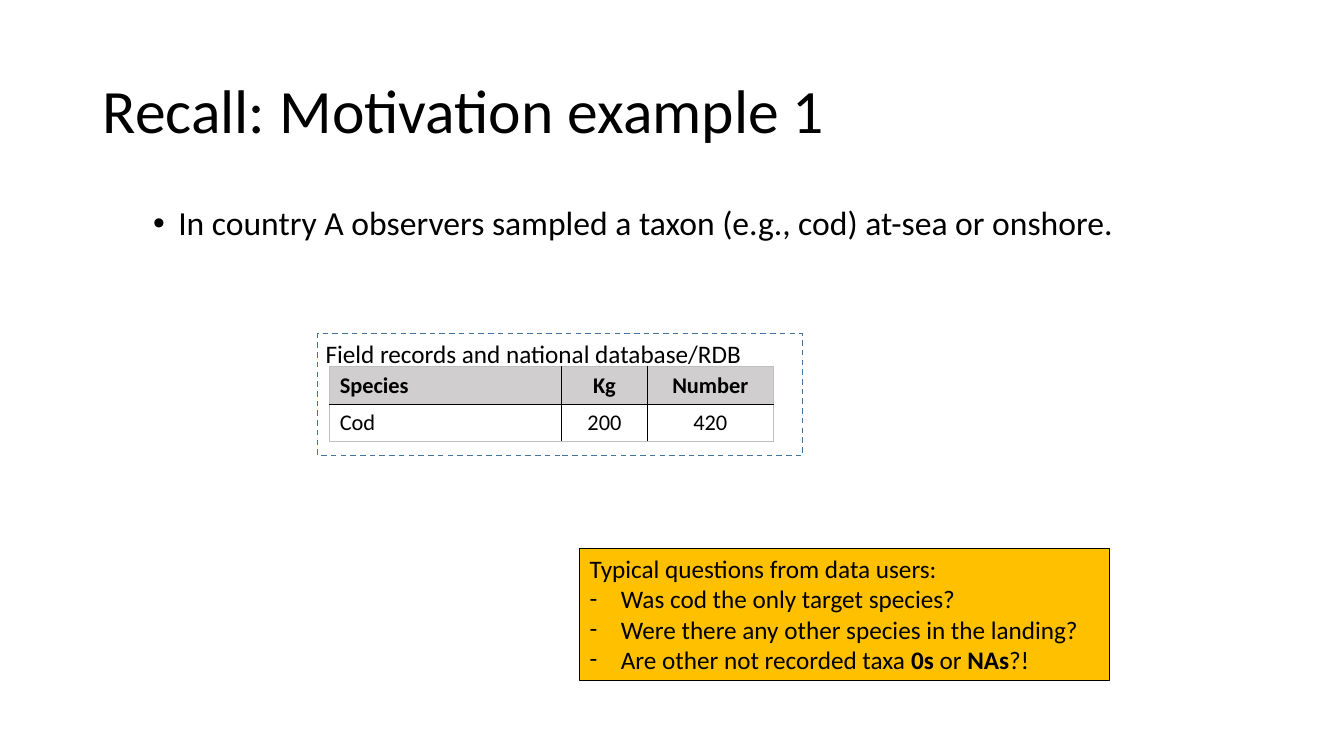
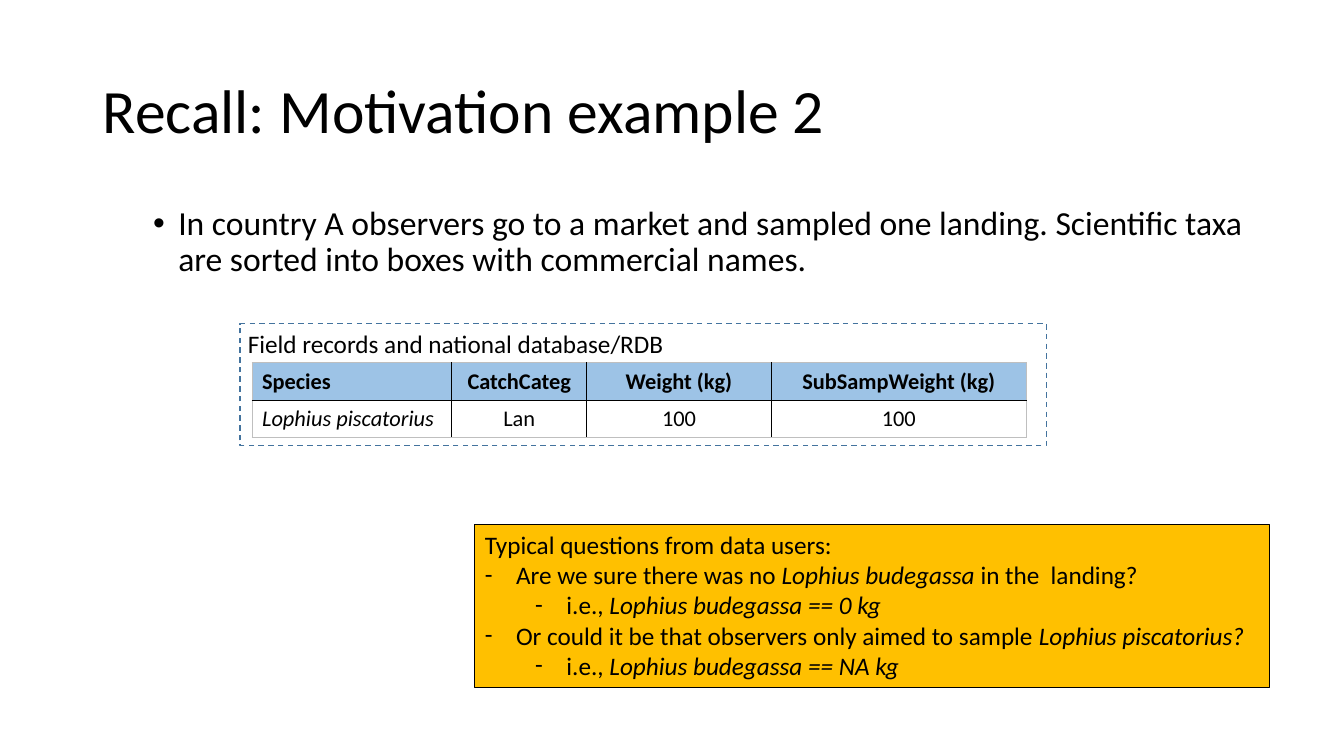
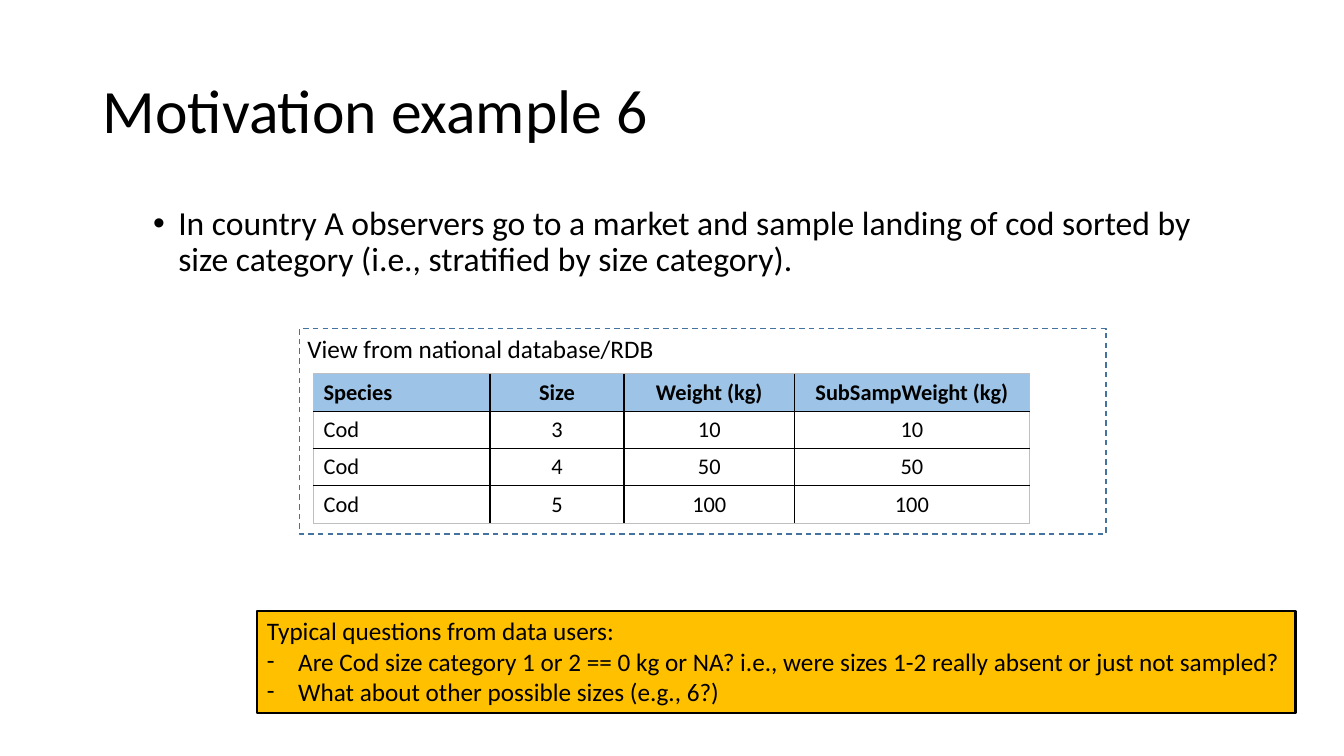
"""Build three slides on motivation examples for species sampling."""
import lxml.etree
import pptx
import pptx.util
import pptx.dml.color
import pptx.enum.dml
import pptx.enum.shapes
import pptx.enum.text
import pptx.oxml.ns

Inches = pptx.util.Inches
Pt = pptx.util.Pt
RGBColor = pptx.dml.color.RGBColor
Align = pptx.enum.text.PP_ALIGN
Anchor = pptx.enum.text.MSO_ANCHOR
RECT = pptx.enum.shapes.MSO_SHAPE.RECTANGLE
qn = pptx.oxml.ns.qn

FONT = "Calibri"
BLACK = RGBColor(0x00, 0x00, 0x00)
GREY = RGBColor(0xD0, 0xCE, 0xCE)
EDGE = RGBColor(0xBF, 0xBF, 0xBF)
SKY = RGBColor(0x9D, 0xC3, 0xE6)
GOLD = RGBColor(0xFF, 0xC0, 0x00)
BLUE = RGBColor(0x43, 0x73, 0x9E)
ROW = 0.37
FIELD = "Field records and national database/RDB"
ASK = "Typical questions from data users:"


def write(para, text, size, bold=False, mark="italic"):
    """Fill a paragraph, giving parts between asterisks the marked style."""
    for i, part in enumerate(text.split("*")):
        if part:
            run = para.add_run()
            run.text = part
            font = run.font
            font.name, font.size, font.bold = FONT, Pt(size), bold
            font.color.rgb = BLACK
            if i % 2:
                setattr(font, mark, True)


def bullet(para, char, left, hang):
    """Give a paragraph a bullet with a hanging indent."""
    props = para._p.get_or_add_pPr()
    props.set("marL", str(Inches(left)))
    props.set("indent", str(-Inches(hang)))
    font = lxml.etree.SubElement(props, qn("a:buFont"))
    font.set("typeface", "Arial" if char == "•" else FONT)
    lxml.etree.SubElement(props, qn("a:buChar")).set("char", char)


def add_text(slide, box, text, size, anchor=Anchor.TOP):
    """Add a text box and return its paragraph."""
    frame = slide.shapes.add_textbox(*map(Inches, box)).text_frame
    frame.word_wrap = True
    frame.vertical_anchor = anchor
    para = frame.paragraphs[0]
    write(para, text, size)
    return para


def add_rect(slide, box, color, width):
    """Add an outlined rectangle without fill."""
    rect = slide.shapes.add_shape(RECT, *map(Inches, box))
    rect.shadow.inherit = False
    rect.fill.background()
    rect.line.color.rgb = color
    rect.line.width = Pt(width)
    return rect


def add_border(cell, side, color, width):
    """Draw one border of a table cell."""
    line = lxml.etree.SubElement(cell._tc.get_or_add_tcPr(), qn("a:ln" + side))
    line.set("w", str(Pt(width)))
    fill = lxml.etree.SubElement(line, qn("a:solidFill"))
    lxml.etree.SubElement(fill, qn("a:srgbClr")).set("val", str(color))


def add_grid(slide, left, top, cols, rows, head):
    """Add a table with a filled header row."""
    high, wide = len(rows), len(cols)
    size = (left, top, sum(cols), ROW * high)
    table = slide.shapes.add_table(high, wide, *map(Inches, size)).table
    table.first_row = table.horz_banding = False
    for col, width in zip(table.columns, cols):
        col.width = Inches(width)
    for r, row in enumerate(rows):
        for c, text in enumerate(row):
            cell = table.cell(r, c)
            outer = {"L": c == 0, "R": c == wide - 1,
                     "T": r == 0, "B": r == high - 1}
            for side, edge in outer.items():
                add_border(cell, side, EDGE if edge else BLACK, 0.75 if edge else 1)
            if r == 0:
                cell.fill.solid()
                cell.fill.fore_color.rgb = head
            else:
                cell.fill.background()
            para = cell.text_frame.paragraphs[0]
            para.alignment = Align.CENTER if c else Align.LEFT
            write(para, text, 16, bold=r == 0)


def add_asks(slide, box, asks, width=0.75, mark="italic"):
    """Add the gold box of questions, each given as level and text."""
    rect = add_rect(slide, box, BLACK, width)
    rect.fill.solid()
    rect.fill.fore_color.rgb = GOLD
    frame = rect.text_frame
    frame.word_wrap = True
    frame.vertical_anchor = Anchor.TOP
    write(frame.paragraphs[0], ASK, 18)
    for level, text in asks:
        para = frame.add_paragraph()
        para.level = level
        bullet(para, "-", 0.31 + 0.5 * level, 0.31)
        write(para, text, 18, mark=mark)
    for para in frame.paragraphs:
        para.alignment = Align.LEFT


def add_frame(slide, box, label):
    """Add the dashed frame with its label."""
    left, top, width, _ = box
    add_text(slide, (left - 0.02, top, width, 0.4), label, 18)
    rect = add_rect(slide, box, BLUE, 1)
    rect.line.dash_style = pptx.enum.dml.MSO_LINE.DASH


def add_slide(deck, title, point):
    """Add a blank slide with its title and main point."""
    slide = deck.slides.add_slide(deck.slide_layouts[6])
    head = add_text(slide, (0.92, 0.4, 11.5, 1.45), title, 44, Anchor.MIDDLE)
    head.line_spacing = 0.9
    para = add_text(slide, (0.92, 2, 11.5, 4.76), point, 24)
    para.level = 1
    para.line_spacing = 0.9
    para.space_before = Pt(5)
    bullet(para, "•", 0.75, 0.25)
    return slide


def main():
    """Build and save the deck."""
    deck = pptx.Presentation()
    deck.slide_width, deck.slide_height = Inches(13.33), Inches(7.5)

    slide = add_slide(
        deck, "Recall: Motivation example 1",
        "In country A observers sampled a taxon (e.g., cod) at-sea or onshore.")
    add_grid(slide, 3.27, 3.64, (2.3, 0.85, 1.25),
             [("Species", "Kg", "Number"), ("Cod", "200", "420")], GREY)
    add_asks(slide, (5.75, 5.44, 5.25, 1.31), [
        (0, "Was cod the only target species?"),
        (0, "Were there any other species in the landing?"),
        (0, "Are other not recorded taxa *0s* or *NAs*?!")], mark="bold")
    add_frame(slide, (3.15, 3.31, 4.81, 1.21), FIELD)

    slide = add_slide(
        deck, "Recall: Motivation example 2",
        "In country A observers go to a market and sampled one landing. "
        "Scientific taxa are sorted into boxes with commercial names.")
    add_grid(slide, 2.5, 3.6, (1.98, 1.34, 1.83, 2.53), [
        ("Species", "CatchCateg", "Weight (kg)", "SubSampWeight (kg)"),
        ("*Lophius piscatorius*", "Lan", "100", "100")], SKY)
    add_asks(slide, (4.71, 5.2, 7.88, 1.62), [
        (0, "Are we sure there was no *Lophius budegassa *in the  landing?"),
        (1, "i.e., *Lophius budegassa == 0 kg*"),
        (0, "Or could it be that observers only aimed to sample "
            "*Lophius piscatorius?*"),
        (1, "i.e., *Lophius budegassa == NA kg*")])
    add_frame(slide, (2.38, 3.21, 8, 1.21), FIELD)

    slide = add_slide(
        deck, "Motivation example 6",
        "In country A observers go to a market and sample landing of cod "
        "sorted by size category (i.e., stratified by size category).")
    add_grid(slide, 3.11, 3.71, (1.75, 1.33, 1.69, 2.33), [
        ("Species", "Size", "Weight (kg)", "SubSampWeight (kg)"),
        ("Cod", "3", "10", "10"),
        ("Cod", "4", "50", "50"),
        ("Cod", "5", "100", "100")], SKY)
    add_asks(slide, (2.55, 6.06, 10.3, 1.01), [
        (0, "Are Cod size category 1 or 2 == 0 kg or NA? i.e., were sizes 1-2 "
            "really absent or just not sampled?"),
        (0, "What about other possible sizes (e.g., 6?)")], width=1.5)
    add_frame(slide, (2.97, 3.26, 8, 2.04), "View from national database/RDB")

    deck.save("out.pptx")


if __name__ == "__main__":
    main()
